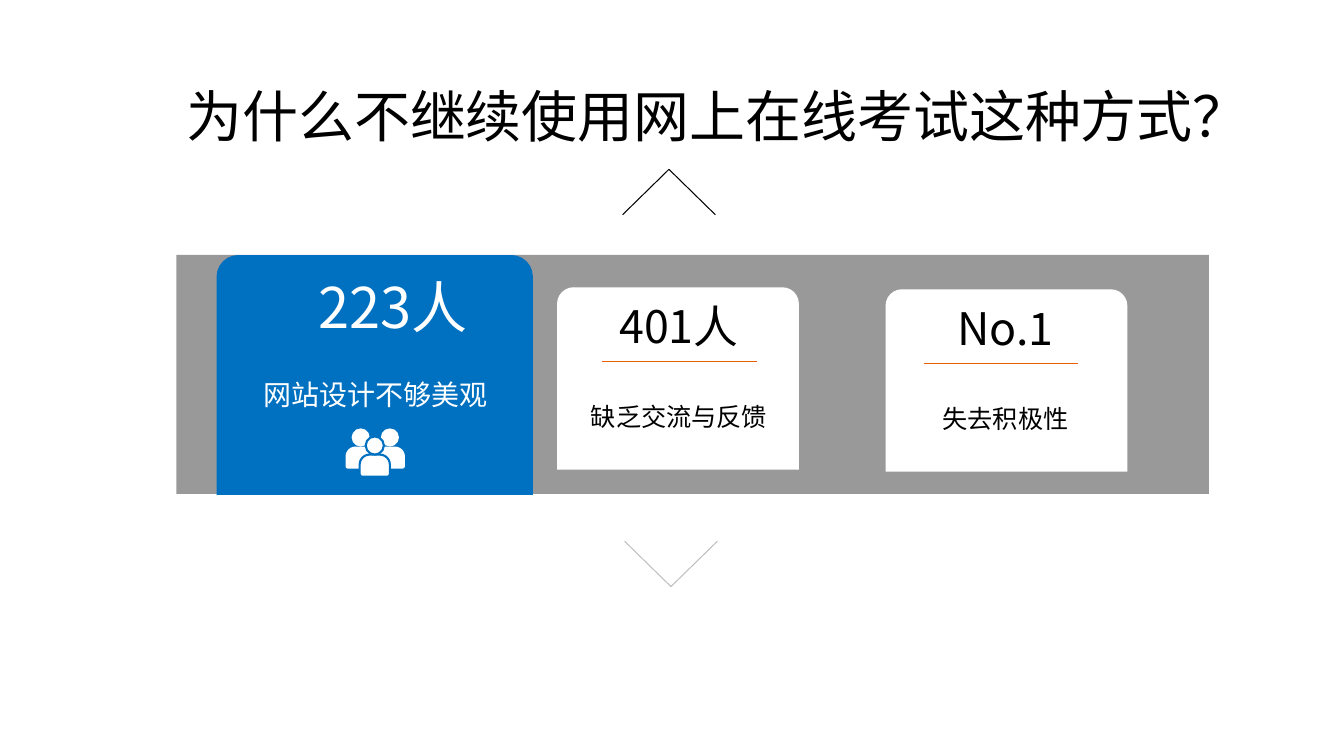
from lxml.etree import SubElement
from pptx import Presentation
from pptx.dml.color import RGBColor
from pptx.enum.shapes import MSO_CONNECTOR as Connector, MSO_SHAPE as Shape
from pptx.enum.text import MSO_ANCHOR as Anchor, MSO_AUTO_SIZE as AutoSize, PP_ALIGN as Align
from pptx.oxml.ns import qn
from pptx.util import Inches, Pt

THEME = {
    "black": "000000", "white": "FFFFFF", "blue": "0070C0",
    "orange": "EA5F04", "silver": "BFBFBF",
    "heading_font": "Calibri", "body_font": "Noto Sans CJK SC",
    "title": 40, "big_figure": 40, "figure": 32, "big_label": 20, "label": 18,
    "hairline": 0.75,
}

QUESTION = "为什么不继续使用网上在线考试这种方式？"
BAND = (1.75, 2.53, 10.25, 2.37)
MAIN_REASON = {
    "card": (2.15, 2.53, 3.14, 2.38), "corner": 0.09,
    "figure": "223人", "figure_at": (3.06, 2.65, 1.84, 0.77),
    "label": "网站设计不够美观", "label_at": (2.41, 3.53, 2.64, 0.6),
}
OTHER_REASONS = [
    {"figure": "401人", "label": "缺乏交流与反馈", "left": 5.53, "top": 2.85, "rule": 5.98, "middle": 6.74},
    {"figure": "No.1", "label": "失去积极性", "left": 8.79, "top": 2.87, "rule": 9.17, "middle": 9.98},
]
CHEVRONS = [(6.64, 1.68, 0.45, "black"), (6.66, 5.82, -0.45, "silver")]
PEOPLE = [(3.43, 4.25, 0), (3.72, 4.25, 0), (3.57, 4.33, 1.5)]


def color(name):
    return RGBColor.from_string(THEME[name])


def apply(target, values):
    for name, value in values.items():
        setattr(target, name, value)


def add_block(slide, kind, box, fill, outline=0, corners=()):
    block = slide.shapes.add_shape(kind, *map(Inches, box))
    block.shadow.inherit = False
    block.fill.solid()
    block.fill.fore_color.rgb = color(fill)
    if outline:
        block.line.color.rgb = color("blue")
        block.line.width = Pt(outline)
    else:
        block.line.fill.background()
    for index, corner in enumerate(corners):
        block.adjustments[index] = corner
    return block


def add_rule(slide, start, end, ink):
    rule = slide.shapes.add_connector(Connector.STRAIGHT, *map(Inches, start + end))
    rule.line.color.rgb = color(ink)
    rule.line.width = Pt(THEME["hairline"])
    SubElement(rule._element.spPr, qn("a:effectLst"))


def add_words(slide, words, box, size, ink, wrap=False, align=Align.CENTER, spacing=1.0):
    frame = slide.shapes.add_textbox(*map(Inches, box)).text_frame
    apply(frame, {"word_wrap": wrap, "text": words})
    paragraph = frame.paragraphs[0]
    apply(paragraph, {"alignment": align, "line_spacing": spacing})
    font = paragraph.runs[0].font
    apply(font, {"size": Pt(THEME[size]), "name": THEME["body_font"]})
    font.color.rgb = color(ink)
    SubElement(font._element, qn("a:ea"), typeface=THEME["body_font"])


def add_title(slide):
    title = slide.shapes.title
    apply(title, dict(zip(("left", "top", "width", "height"), map(Inches, (1.75, 0.46, 10.25, 1.45)))))
    frame = title.text_frame
    apply(frame, {"text": QUESTION, "word_wrap": True, "auto_size": AutoSize.NONE,
                  "vertical_anchor": Anchor.MIDDLE})
    paragraph = frame.paragraphs[0]
    apply(paragraph, {"alignment": Align.LEFT, "line_spacing": 0.9})
    font = paragraph.runs[0].font
    apply(font, {"size": Pt(THEME["title"]), "name": THEME["heading_font"]})
    font.color.rgb = color("black")


def add_person(slide, left, top, outline):
    add_block(slide, Shape.ROUND_2_SAME_RECTANGLE, (left, top + 0.18, 0.3, 0.22),
              "white", outline, (0.45, 0.12))
    add_block(slide, Shape.OVAL, (left + 0.06, top, 0.18, 0.18), "white", outline)


def add_main_reason(slide):
    add_block(slide, Shape.ROUND_2_SAME_RECTANGLE, MAIN_REASON["card"], "blue",
              corners=(MAIN_REASON["corner"], 0))
    add_words(slide, MAIN_REASON["figure"], MAIN_REASON["figure_at"], "big_figure", "white",
              align=Align.LEFT)
    add_words(slide, MAIN_REASON["label"], MAIN_REASON["label_at"], "big_label", "white",
              wrap=True, spacing=1.5)
    for person in PEOPLE:
        add_person(slide, *person)


def add_other_reason(slide, reason):
    left, top, middle = reason["left"], reason["top"], reason["middle"]
    add_block(slide, Shape.ROUND_2_SAME_RECTANGLE, (left, top, 2.4, 1.81), "white", corners=(0.09, 0))
    add_words(slide, reason["figure"], (middle - 0.75, top + 0.06, 1.5, 0.64), "figure", "black")
    add_words(slide, reason["label"], (middle - 1.08, top + 0.93, 2.16, 0.55), "label", "black",
              wrap=True, spacing=1.5)
    add_rule(slide, (reason["rule"], top + 0.74), (reason["rule"] + 1.53, top + 0.74), "orange")


def main():
    deck = Presentation()
    apply(deck, {"slide_width": Inches(13.34), "slide_height": Inches(7.5)})
    slide = deck.slides.add_slide(deck.slide_layouts[5])
    add_title(slide)
    band = add_block(slide, Shape.RECTANGLE, BAND, "black")
    tint = band._element.spPr.find(qn("a:solidFill"))[0]
    SubElement(tint, qn("a:alpha"), val="40000")
    for tip_x, tip_y, drop, ink in CHEVRONS:
        for side in (-0.46, 0.46):
            add_rule(slide, (tip_x, tip_y), (tip_x + side, tip_y + drop), ink)
    add_main_reason(slide)
    for reason in OTHER_REASONS:
        add_other_reason(slide, reason)
    deck.save("out.pptx")


if __name__ == "__main__":
    main()
